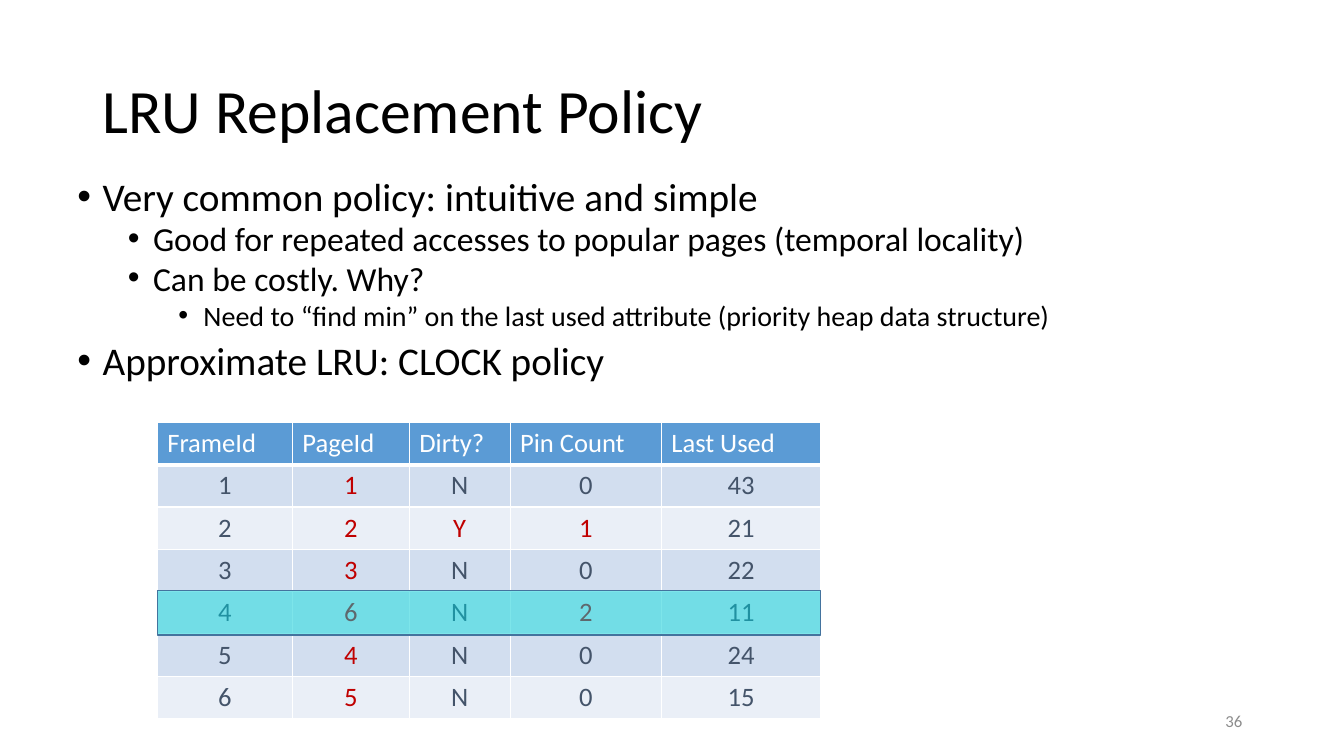
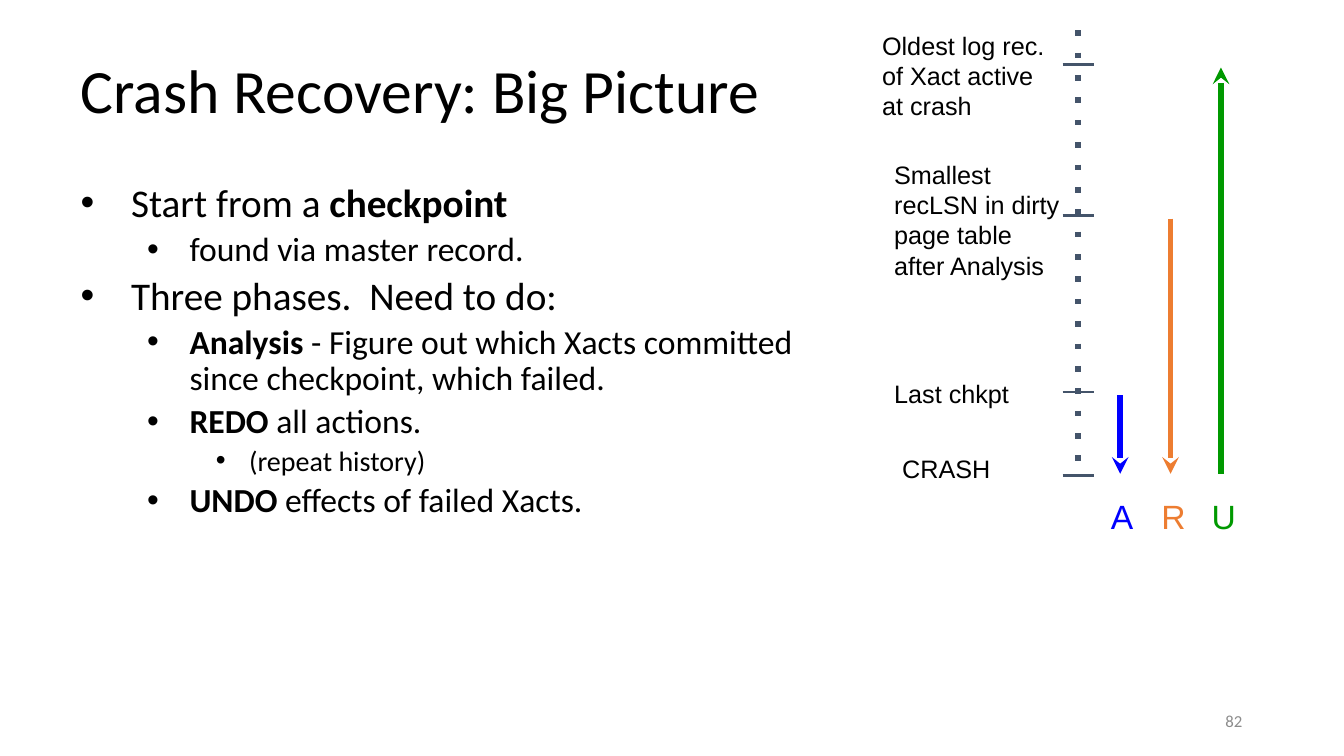
import pptx
import pptx.dml.color
import pptx.enum.shapes
import pptx.enum.text
import pptx.oxml
import pptx.oxml.ns
import pptx.util
from lxml import etree

Inches = pptx.util.Inches
Pt = pptx.util.Pt
RGBColor = pptx.dml.color.RGBColor
ALIGN = pptx.enum.text.PP_ALIGN
ANCHOR = pptx.enum.text.MSO_ANCHOR

BLACK = RGBColor(0x00, 0x00, 0x00)
WHITE = RGBColor(0xFF, 0xFF, 0xFF)
GREY = RGBColor(0x8C, 0x8C, 0x8C)
SLATE = RGBColor(0x44, 0x54, 0x6A)
RED = RGBColor(0xC0, 0x00, 0x00)
HEADER_BLUE = RGBColor(0x5B, 0x9B, 0xD5)
BAND_DARK = RGBColor(0xD2, 0xDE, 0xEF)
BAND_LIGHT = RGBColor(0xEA, 0xEF, 0xF7)
HIGHLIGHT = RGBColor(0x00, 0xCD, 0xD7)
HIGHLIGHT_EDGE = RGBColor(0x43, 0x73, 0x9E)
BLUE = RGBColor(0x00, 0x00, 0xFF)
ORANGE = RGBColor(0xED, 0x7D, 0x31)
GREEN = RGBColor(0x00, 0x99, 0x00)

TITLE_FONT = {"name": "Calibri", "size": Pt(44)}
NUMBER_FONT = {"name": "Calibri", "size": Pt(12)}
TABLE_FONT = {"name": "Calibri", "size": Pt(19)}
LABEL_FONT = {"name": "Arial", "size": Pt(18)}
PHASE_FONT = {"name": "Arial", "size": Pt(24)}
BODY_SIZES = (28, 24, 20)
NARROW_INSETS = (0.1, 0.05)
WIDE_INSETS = (0.13, 0.07)

POLICY_LEVELS = ((0.25, -0.25, 10), (0.75, -0.25, 5), (1.25, -0.25, 5))
RECOVERY_LEVELS = ((0.5, -0.5, 5.3), (1.08, -0.42, 4.8), (1.67, -0.33, 4.3))

POLICY_POINTS = (
    (0, "", "Very common policy: intuitive and simple"),
    (1, "", "Good for repeated accesses to popular pages (temporal locality)"),
    (1, "", "Can be costly. Why?"),
    (2, "", "Need to “find min” on the last used attribute (priority heap data structure)"),
    (0, "", "Approximate LRU: CLOCK policy"),
)
RECOVERY_POINTS = (
    (0, "Start from a ", "", "checkpoint"),
    (1, "", "found via master record."),
    (0, "", "Three phases.  Need to do:"),
    (1, "Analysis", " - Figure out which Xacts committed since checkpoint, which failed."),
    (1, "REDO", " all actions."),
    (2, "", "(repeat history)"),
    (1, "UNDO", " effects of failed Xacts."),
)
RECOVERY_POINTS = ((0, "", "Start from a ", "checkpoint"),) + RECOVERY_POINTS[1:]

FRAME_COLUMNS = (1.34, 1.16, 1, 1.5, 1.58)
FRAME_ROW_HEIGHT = 0.42
FRAME_ROWS = (
    ("FrameId", "PageId", "Dirty?", "Pin Count", "Last Used"),
    ("1", "1", "N", "0", "43"),
    ("2", "2", "Y", "1", "21"),
    ("3", "3", "N", "0", "22"),
    ("4", "6", "N", "2", "11"),
    ("5", "4", "N", "0", "24"),
    ("6", "5", "N", "0", "15"),
)
RED_CELLS = {(row, 1) for row in range(1, 7)} | {(2, 2), (2, 3), (4, 3)}

LOG_LABELS = (
    (8.65, 0.25, 1.01, "Oldest log rec. of Xact active at crash"),
    (8.77, 1.53, 1.31, "Smallest recLSN in dirty page table after Analysis"),
    (8.77, 3.7, 0.4, "Last chkpt"),
    (8.85, 4.45, 0.4, "CRASH"),
)
LOG_TICKS = (0.64, 2.14, 3.89, 4.72)
PHASES = (
    ("A", BLUE, 3.92, "tailEnd"),
    ("R", ORANGE, 2.17, "tailEnd"),
    ("U", GREEN, 0.67, "headEnd"),
)


def apply_format(target, values):
    for name, value in values.items():
        setattr(target, name, value)


def add_child(parent, tag, **attributes):
    child = etree.SubElement(parent, pptx.oxml.ns.qn(tag))
    for name, value in attributes.items():
        child.set(name, str(value))
    return child


def add_run(paragraph, text, font, color=BLACK):
    run = paragraph.add_run()
    run.text = text
    apply_format(run.font, font)
    run.font.color.rgb = color


def add_frame(slide, box, insets=NARROW_INSETS, anchor=ANCHOR.TOP):
    frame = slide.shapes.add_textbox(*map(Inches, box)).text_frame
    side, end = map(Inches, insets)
    apply_format(frame, {
        "word_wrap": True, "vertical_anchor": anchor,
        "margin_left": side, "margin_right": side,
        "margin_top": end, "margin_bottom": end,
    })
    return frame


def add_label(slide, box, text, font, color=BLACK):
    add_run(add_frame(slide, box).paragraphs[0], text, font, color)


def add_title(slide, box, text, insets=NARROW_INSETS):
    paragraph = add_frame(slide, box, insets, ANCHOR.MIDDLE).paragraphs[0]
    paragraph.line_spacing = 0.9
    add_run(paragraph, text, TITLE_FONT)


def add_slide_number(slide, number):
    box = (9.42, 6.95, 3, 0.4)
    paragraph = add_frame(slide, box, anchor=ANCHOR.MIDDLE).paragraphs[0]
    paragraph.alignment = ALIGN.RIGHT
    add_run(paragraph, str(number), NUMBER_FONT, GREY)


def add_bullets(slide, box, points, levels, line_spacing, insets=NARROW_INSETS):
    frame = add_frame(slide, box, insets)
    for index, (level, lead, text, *ending) in enumerate(points):
        paragraph = frame.add_paragraph() if index else frame.paragraphs[0]
        left, indent, before = levels[level]
        apply_format(paragraph, {
            "level": level, "line_spacing": line_spacing,
            "space_before": Pt(before if index else 0),
        })
        properties = paragraph._p.get_or_add_pPr()
        properties.set("marL", str(Inches(left)))
        properties.set("indent", str(Inches(indent)))
        add_child(properties, "a:buFont", typeface="Arial")
        add_child(properties, "a:buChar", char="•")
        for part, bold in ((lead, True), (text, False), ("".join(ending), True)):
            if part:
                font = {"name": "Calibri", "size": Pt(BODY_SIZES[level]), "bold": bold}
                add_run(paragraph, part, font)


def set_borders(cell, bottom_width):
    properties = cell._tc.get_or_add_tcPr()
    widths = {"a:lnL": 1, "a:lnR": 1, "a:lnT": 1, "a:lnB": bottom_width}
    for position, (tag, width) in enumerate(widths.items()):
        border = add_child(properties, tag, w=Pt(width))
        add_child(add_child(border, "a:solidFill"), "a:srgbClr", val=WHITE)
        properties.insert(position, border)


def add_frame_table(slide, left, top):
    size = (sum(FRAME_COLUMNS), FRAME_ROW_HEIGHT * len(FRAME_ROWS))
    table = slide.shapes.add_table(
        len(FRAME_ROWS), len(FRAME_COLUMNS), *map(Inches, (left, top, *size))).table
    for column, width in zip(table.columns, FRAME_COLUMNS):
        column.width = Inches(width)
    for row_index, values in enumerate(FRAME_ROWS):
        header = row_index == 0
        band = BAND_DARK if row_index % 2 else BAND_LIGHT
        for column_index, value in enumerate(values):
            cell = table.cell(row_index, column_index)
            cell.fill.solid()
            cell.fill.fore_color.rgb = HEADER_BLUE if header else band
            set_borders(cell, 3 if header else 1)
            paragraph = cell.text_frame.paragraphs[0]
            paragraph.alignment = ALIGN.LEFT if header else ALIGN.CENTER
            body_color = RED if (row_index, column_index) in RED_CELLS else SLATE
            add_run(paragraph, value, {**TABLE_FONT, "bold": False},
                    WHITE if header else body_color)


def add_highlight(slide, box):
    shape = slide.shapes.add_shape(
        pptx.enum.shapes.MSO_SHAPE.RECTANGLE, *map(Inches, box))
    shape.shadow.inherit = False
    shape.fill.solid()
    shape.fill.fore_color.rgb = HIGHLIGHT
    color = shape.fill._xPr.find(".//" + pptx.oxml.ns.qn("a:srgbClr"))
    add_child(color, "a:alpha", val=51000)
    shape.line.color.rgb = HIGHLIGHT_EDGE
    shape.line.width = Pt(1)


def add_line(slide, start, end, color, width, dash=None, arrow=None):
    connector = slide.shapes.add_connector(
        pptx.enum.shapes.MSO_CONNECTOR.STRAIGHT, *map(Inches, (*start, *end)))
    connector.line.color.rgb = color
    connector.line.width = Pt(width)
    line = connector.line._get_or_add_ln()
    if dash:
        add_child(line, "a:prstDash", val=dash)
    if arrow:
        add_child(line, "a:" + arrow, type="stealth")
    add_child(connector._element.spPr, "a:effectLst")


def add_log_diagram(slide):
    axis = 10.69
    add_line(slide, (axis, 0.3), (axis, 4.61), SLATE, 4, dash="dot")
    for left, top, height, text in LOG_LABELS:
        add_label(slide, (left, top, 1.88, height), text, LABEL_FONT)
    for top in LOG_TICKS:
        add_line(slide, (axis - 0.15, top), (axis + 0.16, top), SLATE, 2)
    for index, (letter, color, top, arrow) in enumerate(PHASES):
        center = 11.11 + 0.5 * index
        add_line(slide, (center, top), (center, 4.7), color, 4, arrow=arrow)
        add_label(slide, (center - 0.19, 4.87, 0.44, 0.5), letter, PHASE_FONT, color)


def build_policy_slide(slide):
    add_title(slide, (0.92, 0.4, 11.5, 1.45), "LRU Replacement Policy")
    add_bullets(slide, (0.67, 1.75, 12, 2.22), POLICY_POINTS, POLICY_LEVELS, 0.8)
    add_frame_table(slide, 1.56, 4.19)
    add_highlight(slide, (1.56, 5.86, sum(FRAME_COLUMNS), 0.44))
    add_slide_number(slide, 36)


def build_recovery_slide(slide):
    add_title(slide, (0.67, 0.3, 12, 1.25), "Crash Recovery: Big Picture", WIDE_INSETS)
    add_bullets(slide, (0.67, 1.75, 7.68, 4.95), RECOVERY_POINTS, RECOVERY_LEVELS,
                0.9, WIDE_INSETS)
    add_log_diagram(slide)
    add_slide_number(slide, 82)


def main():
    presentation = pptx.Presentation()
    apply_format(presentation, {
        "slide_width": Inches(13.33), "slide_height": Inches(7.5)})
    blank = presentation.slide_layouts[6]
    for build in (build_policy_slide, build_recovery_slide):
        build(presentation.slides.add_slide(blank))
    presentation.save("out.pptx")


if __name__ == "__main__":
    main()
